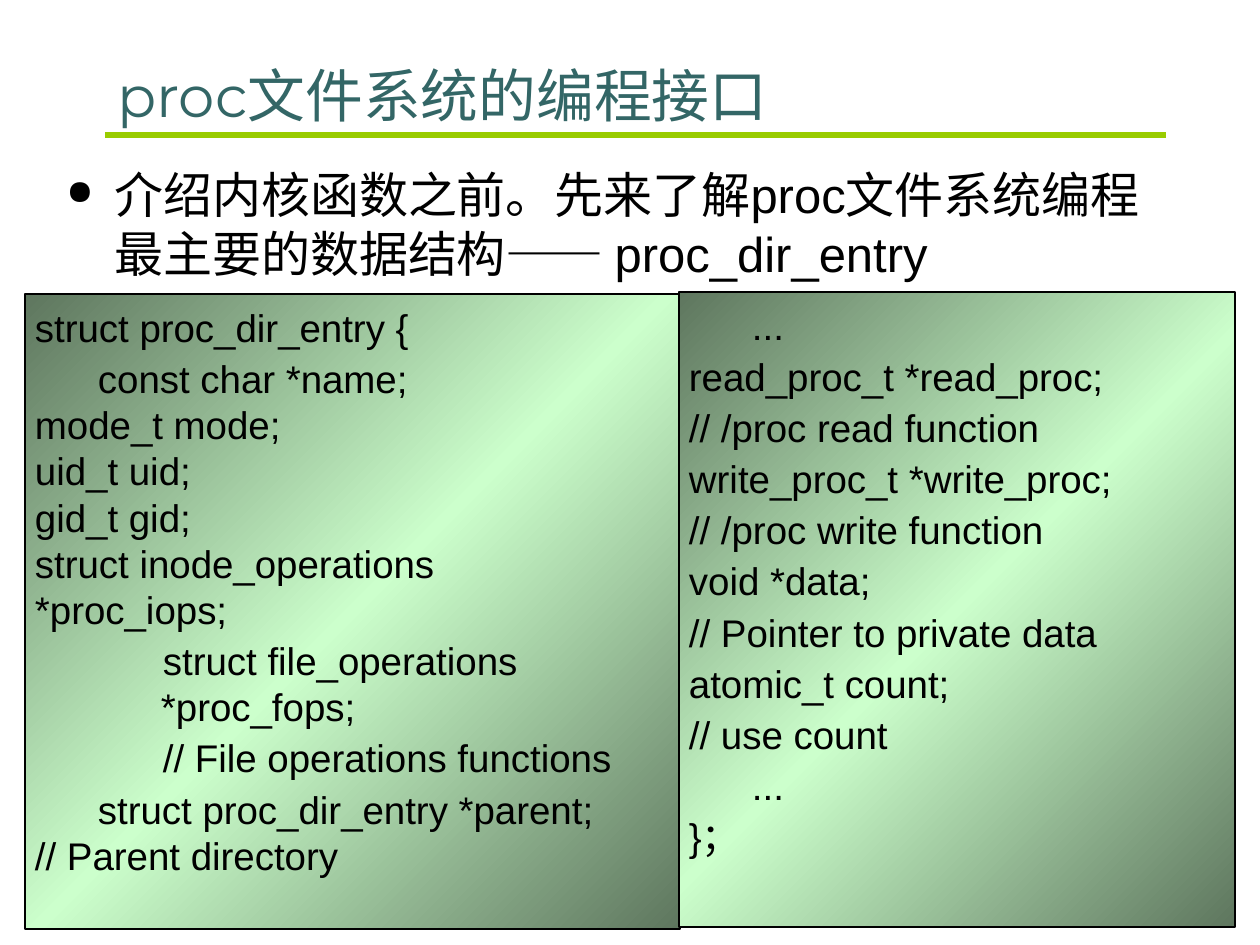
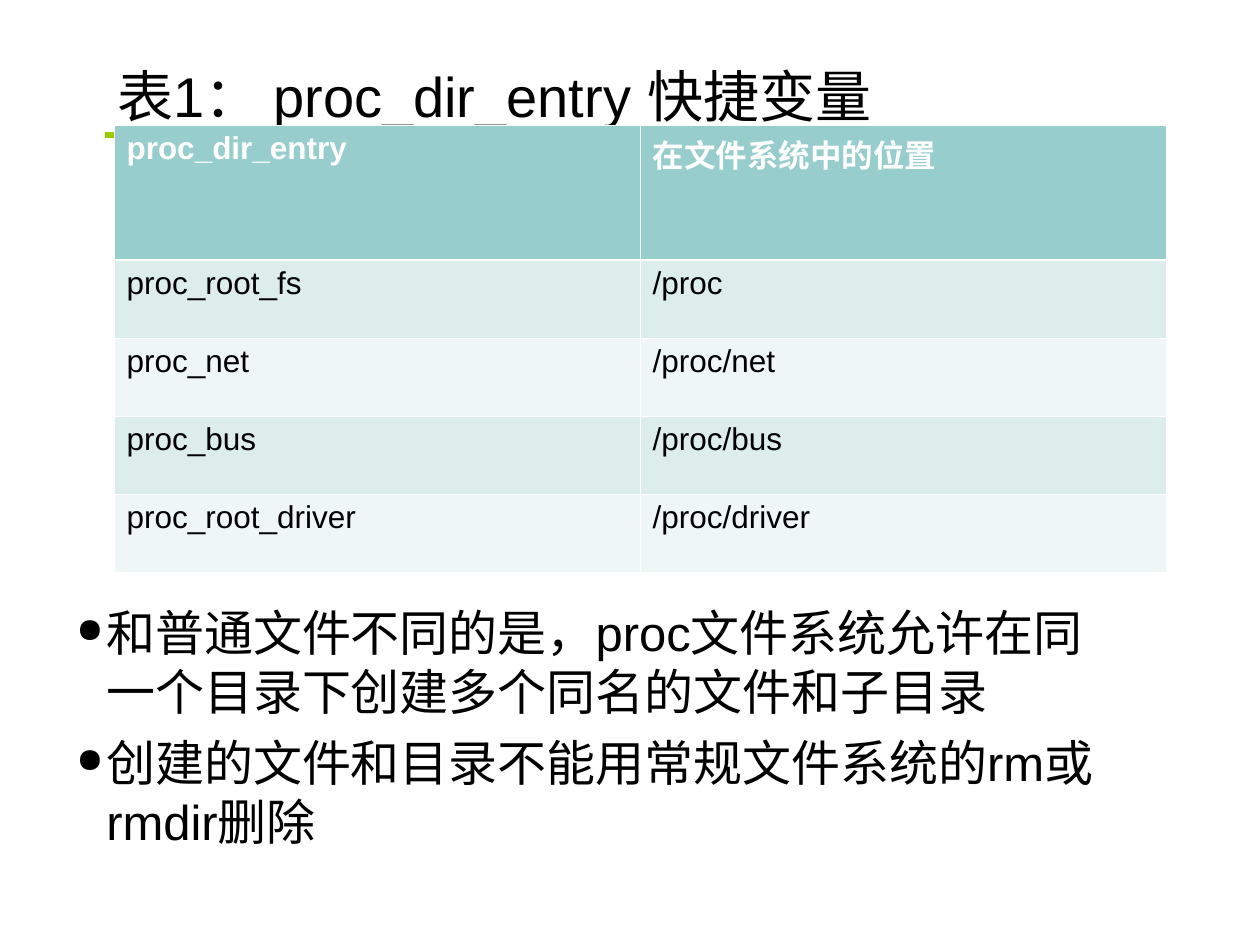
from lxml.etree import SubElement
from pptx import Presentation
from pptx.dml.color import RGBColor
from pptx.enum.shapes import MSO_CONNECTOR, MSO_SHAPE
from pptx.enum.text import MSO_ANCHOR as Anchor, PP_ALIGN as Align
from pptx.oxml import parse_xml
from pptx.oxml.ns import nsdecls, qn
from pptx.util import Pt

PX = 914400 / 126
TEAL, GREEN, BLACK, WHITE = "336666", "99CC00", "000000", "FFFFFF"
CODE_DARK, CODE_LIGHT = "5E765E", "CCFFCC"
HEADER_FILL, ROW_FILLS = "97CDCC", ("DDEDEC", "EFF6F6")
THIN, THICK = 0.45, 1.47

ENTRY_START = [
    "struct proc_dir_entry {",
    "\tconst char *name;\vmode_t mode;\vuid_t uid;\vgid_t gid;\v"
    "struct inode_operations\v*proc_iops;",
    "            struct file_operations\v\t\t*proc_fops;",
    "            // File operations functions",
    "\tstruct proc_dir_entry *parent;\v// Parent directory",
]
ENTRY_END = [
    "\t...",
    "read_proc_t *read_proc;",
    "// /proc read function",
    "write_proc_t *write_proc;",
    "// /proc write function",
    "void *data;",
    "// Pointer to private data",
    "atomic_t count;",
    "// use count",
    "\t...",
    "}；",
]
SHORTCUTS = [
    ("proc_dir_entry", "在文件系统中的位置"),
    ("proc_root_fs", "/proc"),
    ("proc_net", "/proc/net"),
    ("proc_bus", "/proc/bus"),
    ("proc_root_driver", "/proc/driver"),
]


def px(*lengths):
    emu = [round(length * PX) for length in lengths]
    return emu if len(emu) > 1 else emu[0]


def color(value):
    return RGBColor.from_string(value)


class Deck:
    """Holds the presentation, its style and the current slide."""

    def __init__(self):
        self.presentation = Presentation()
        self.presentation.slide_width, self.presentation.slide_height = px(1260, 945)
        self.slide = None

    def start_slide(self, title, size, font="Arial", text_color=BLACK):
        self.slide = self.presentation.slides.add_slide(
            self.presentation.slide_layouts[6])
        self.line(105, 135, 1166, 135)
        frame = self.text_box(105, 35, 1061, 96)
        frame.vertical_anchor = Anchor.BOTTOM
        frame.margin_bottom = px(2)
        self.set_text(frame.paragraphs[0], title, size, font, text_color)

    def line(self, x1, y1, x2, y2):
        connector = self.slide.shapes.add_connector(
            MSO_CONNECTOR.STRAIGHT, *px(x1, y1, x2, y2))
        connector.line.color.rgb = color(GREEN)
        connector.line.width = Pt(3)
        SubElement(connector._element.spPr, qn("a:effectLst"))

    def text_box(self, *box):
        frame = self.slide.shapes.add_textbox(*px(*box)).text_frame
        frame.word_wrap = True
        return frame

    def set_text(self, paragraph, text, size, font="Arial", text_color=BLACK, bold=False):
        paragraph.text = text
        paragraph.alignment = Align.LEFT
        paragraph.font.name = font
        paragraph.font.size = Pt(size)
        paragraph.font.bold = bold
        paragraph.font.color.rgb = color(text_color)

    def fill_frame(self, frame, texts, size, gap, hanging=0):
        """Fills a frame, with bullets when a hanging indent is given."""
        for index, text in enumerate(texts):
            paragraph = frame.add_paragraph() if index else frame.paragraphs[0]
            if hanging:
                self.bullet(paragraph, hanging)
            self.set_text(paragraph, text, size)
            paragraph.line_spacing = Pt(size * 1.2)
            paragraph.space_before = Pt(gap if index else 0)

    def bullet(self, paragraph, hanging):
        properties = paragraph._p.get_or_add_pPr()
        properties.set("marL", str(px(hanging)))
        properties.set("indent", str(-px(hanging)))
        bullet_color = SubElement(properties, qn("a:buClr"))
        SubElement(bullet_color, qn("a:srgbClr"), val=BLACK)
        SubElement(properties, qn("a:buSzPct"), val="70000")
        SubElement(properties, qn("a:buChar"), char="●")

    def bullets(self, box, texts, hanging):
        frame = self.text_box(*box)
        frame.margin_top = px(10)
        self.fill_frame(frame, texts, 28, 7, hanging)

    def code(self, box, lines):
        shape = self.slide.shapes.add_shape(MSO_SHAPE.RECTANGLE, *px(*box))
        shape.shadow.inherit = False
        shape.line.color.rgb = color(BLACK)
        shape.line.width = Pt(1.5)
        stops = "".join(
            f'<a:gs pos="{position * 1000}"><a:srgbClr val="{value}"/></a:gs>'
            for position, value in ((0, CODE_DARK), (50, CODE_LIGHT), (100, CODE_DARK)))
        shape._element.spPr.insert(2, parse_xml(
            f'<a:gradFill {nsdecls("a")} rotWithShape="1"><a:gsLst>{stops}</a:gsLst>'
            '<a:lin ang="2700000" scaled="0"/></a:gradFill>'))
        frame = shape.text_frame
        frame.word_wrap = True
        frame.vertical_anchor = Anchor.TOP
        frame.margin_left = frame.margin_right = px(10)
        frame.margin_top = frame.margin_bottom = px(10)
        self.fill_frame(frame, lines, 22, 2.8)

    def table(self, box, rows, header_height, row_height):
        table = self.slide.shapes.add_table(
            len(rows), len(rows[0]), *px(*box)).table
        for row_index, values in enumerate(rows):
            is_header = row_index == 0
            table.rows[row_index].height = px(header_height if is_header else row_height)
            fill = HEADER_FILL if is_header else ROW_FILLS[(row_index - 1) % 2]
            for column_index, value in enumerate(values):
                cell = table.cell(row_index, column_index)
                self.set_text(cell.text_frame.paragraphs[0], value, 18,
                              text_color=WHITE if is_header else BLACK, bold=is_header)
                self.borders(cell, top=THICK if row_index == 1 else THIN,
                             bottom=THICK if is_header else THIN)
                cell.fill.solid()
                cell.fill.fore_color.rgb = color(fill)

    def borders(self, cell, top, bottom):
        properties = cell._tc.get_or_add_tcPr()
        for side, width in (("L", THIN), ("R", THIN), ("T", top), ("B", bottom)):
            border = SubElement(properties, qn(f"a:ln{side}"), w=str(int(Pt(width))))
            solid = SubElement(border, qn("a:solidFill"))
            SubElement(solid, qn("a:srgbClr"), val=WHITE)


def main():
    deck = Deck()

    deck.start_slide("proc文件系统的编程接口", 33, "Montserrat", TEAL)
    deck.bullets((54, 155, 1130, 139), [
        "介绍内核函数之前。先来了解proc文件系统编程最主要的数据结构—— proc_dir_entry",
    ], hanging=48)
    deck.code((25, 294, 655, 635), ENTRY_START)
    deck.code((679, 292, 556, 635), ENTRY_END)

    deck.start_slide("表1： proc_dir_entry 快捷变量", 32)
    deck.bullets((64, 593, 1061, 315), [
        "和普通文件不同的是，proc文件系统允许在同一个目录下创建多个同名的文件和子目录",
        "创建的文件和目录不能用常规文件系统的rm或rmdir删除",
    ], hanging=30)
    deck.table((114, 125, 1052, 447), SHORTCUTS, header_height=135, row_height=78)

    deck.presentation.save("out.pptx")


if __name__ == "__main__":
    main()
